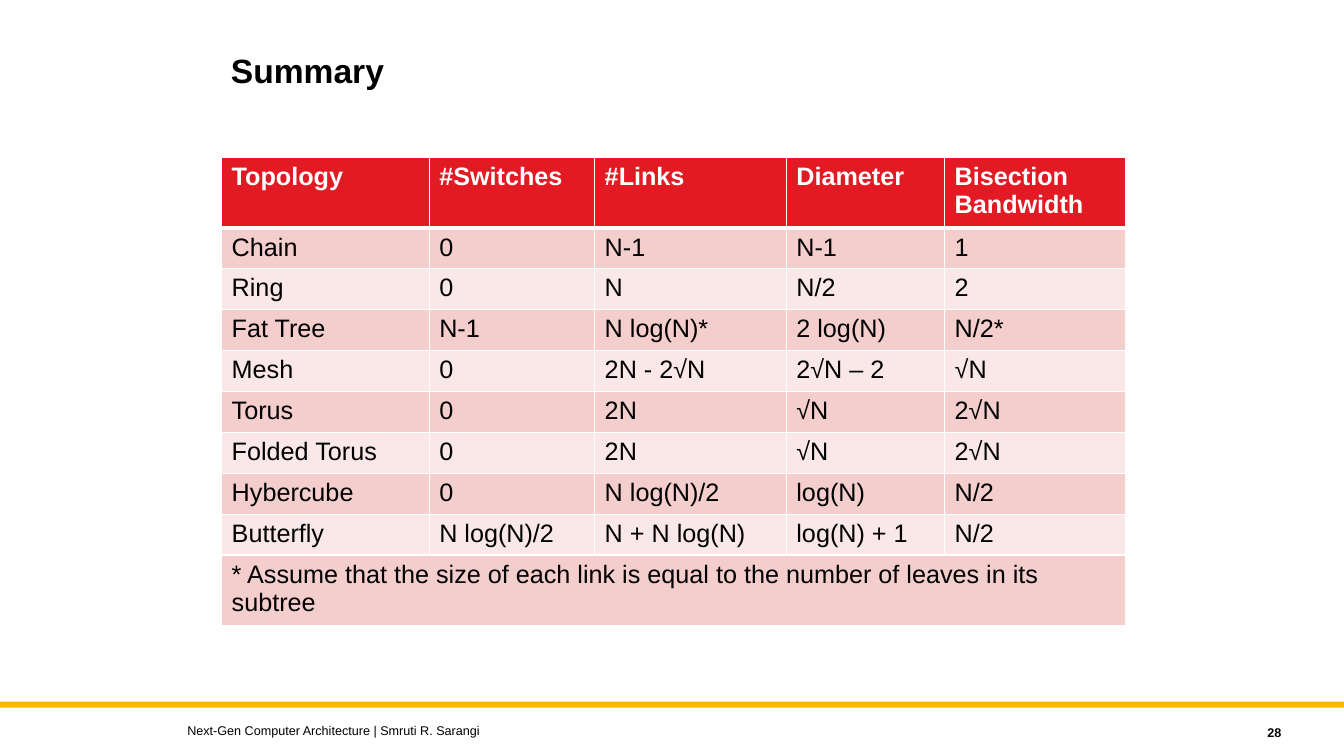
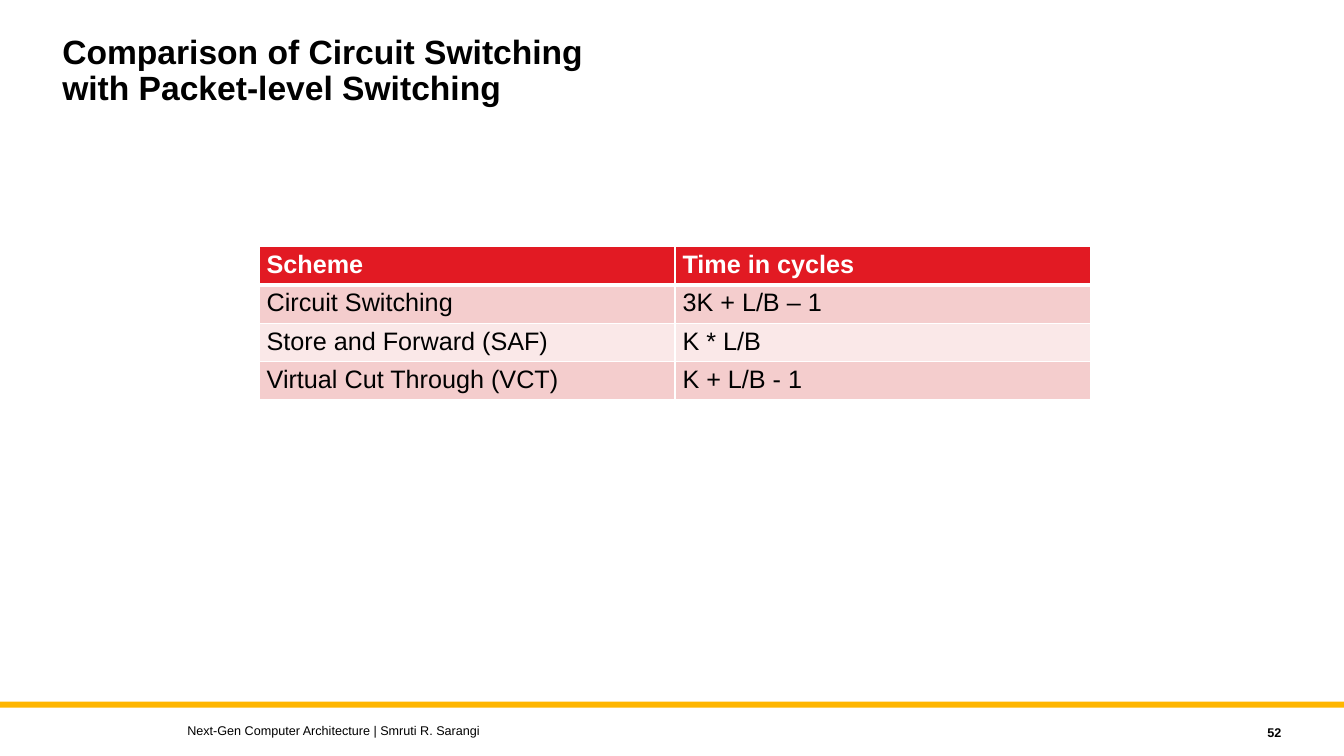
import pptx
import pptx.dml.color
import pptx.enum.shapes
import pptx.enum.text
import pptx.oxml
import pptx.oxml.ns
import pptx.util

Cm = pptx.util.Cm
Pt = pptx.util.Pt
Anchor = pptx.enum.text.MSO_ANCHOR
Align = pptx.enum.text.PP_ALIGN


def color(value):
    return pptx.dml.color.RGBColor.from_string(value)


class LectureDeck:
    """Lecture slides with a shared title style, footer and banded tables."""

    FONT = "Arial"
    BLACK, WHITE = "000000", "FFFFFF"
    GOLD, RED = "FFB600", "E21A23"
    BANDS = ("F4CDCD", "FAE8E8")
    WIDTH, HEIGHT = 33.87, 19.05
    COURSE = "Next-Gen Computer Architecture | Smruti R. Sarangi"

    def __init__(self):
        self.deck = pptx.Presentation()
        self.deck.slide_width = Cm(self.WIDTH)
        self.deck.slide_height = Cm(self.HEIGHT)
        self.slide = None

    def start_slide(self, number):
        self.slide = self.deck.slides.add_slide(self.deck.slide_layouts[6])
        self.band(0, 17.68, self.WIDTH, 0.15)
        self.text(self.COURSE, (4.47, 18.08, 20.32, 0.64), 9)
        self.text(str(number), (28.98, 18.14, 3.56, 0.64), 9, bold=True, align=Align.RIGHT)

    def band(self, left, top, width, height):
        bar = self.slide.shapes.add_shape(
            pptx.enum.shapes.MSO_SHAPE.RECTANGLE, Cm(left), Cm(top), Cm(width), Cm(height))
        bar.shadow.inherit = False
        bar.fill.solid()
        bar.fill.fore_color.rgb = color(self.GOLD)
        bar.line.fill.background()

    def style(self, frame, size, tone, bold):
        for paragraph in frame.paragraphs:
            font = paragraph.font
            font.name, font.size, font.bold = self.FONT, Pt(size), bold
            font.color.rgb = color(tone)

    def text(self, words, box, size, bold=False, align=Align.LEFT, anchor=Anchor.MIDDLE):
        frame = self.slide.shapes.add_textbox(*map(Cm, box)).text_frame
        frame.word_wrap = True
        frame.vertical_anchor = anchor
        frame.text = words
        self.style(frame, size, self.BLACK, bold)
        for paragraph in frame.paragraphs:
            paragraph.alignment = align
        return frame

    def title(self, words, box, anchor=Anchor.TOP, inset=True):
        frame = self.text(words, box, 24, bold=True, anchor=anchor)
        frame.paragraphs[0].line_spacing = 0.9
        if not inset:
            frame.margin_left = frame.margin_right = 0
            frame.margin_top = frame.margin_bottom = 0

    def borders(self, cell, top, bottom):
        properties = cell._tc.get_or_add_tcPr()
        for side, points in (("L", 1), ("R", 1), ("T", top), ("B", bottom)):
            properties.append(pptx.oxml.parse_xml(
                f'<a:ln{side} {pptx.oxml.ns.nsdecls("a")} w="{Pt(points)}"><a:solidFill>'
                f'<a:srgbClr val="{self.WHITE}"/></a:solidFill></a:ln{side}>'))

    def table(self, left, top, widths, row_height, rows, margins=(0.25, 0.13)):
        grid = self.slide.shapes.add_table(
            len(rows), len(widths), Cm(left), Cm(top),
            Cm(sum(widths)), Cm(row_height * len(rows))).table
        for column, width in zip(grid.columns, widths):
            column.width = Cm(width)
        for r, values in enumerate(rows):
            grid.rows[r].height = Cm(row_height)
            header = r == 0
            for c in range(len(widths)):
                cell = grid.cell(r, c)
                self.borders(cell, 3 if r == 1 else 1, 3 if header else 1)
                cell.fill.solid()
                cell.fill.fore_color.rgb = color(self.RED if header else self.BANDS[(r - 1) % 2])
                cell.margin_left = cell.margin_right = Cm(margins[0])
                cell.margin_top = cell.margin_bottom = Cm(margins[1])
                if c < len(values):
                    cell.text = values[c]
                self.style(cell.text_frame, 18, self.WHITE if header else self.BLACK, header)
            if len(values) == 1:
                grid.cell(r, 0).merge(grid.cell(r, len(widths) - 1))

    def save(self):
        self.deck.save("out.pptx")


TOPOLOGIES = [
    ("Topology", "#Switches", "#Links", "Diameter", "Bisection\nBandwidth"),
    ("Chain", "0", "N-1", "N-1", "1"),
    ("Ring", "0", "N", "N/2", "2"),
    ("Fat Tree", "N-1", "N log(N)*", "2 log(N)", "N/2*"),
    ("Mesh", "0", "2N - 2√N", "2√N – 2", "√N"),
    ("Torus", "0", "2N", "√N", "2√N"),
    ("Folded Torus", "0", "2N", "√N", "2√N"),
    ("Hybercube", "0", "N log(N)/2", "log(N)", "N/2"),
    ("Butterfly", "N log(N)/2", "N + N log(N)", "log(N) + 1", "N/2"),
    ("* Assume that the size of each link is equal to the number of leaves in its subtree",),
]

SCHEMES = [
    ("Scheme", "Time in cycles"),
    ("Circuit Switching", "3K + L/B – 1"),
    ("Store and Forward (SAF)", "K * L/B"),
    ("Virtual Cut Through (VCT)", "K + L/B - 1"),
]


def main():
    lecture = LectureDeck()

    lecture.start_slide(28)
    lecture.title("Summary", (5.82, 0.84, 15.44, 1.96), Anchor.MIDDLE, inset=False)
    lecture.table(5.59, 3.96, (5.23, 4.17, 4.83, 3.99, 4.55), 1.03, TOPOLOGIES)

    lecture.start_slide(52)
    lecture.title("Comparison of Circuit Switching\vwith Packet-level Switching",
                  (1.32, 0.76, 25.4, 2.29))
    lecture.table(6.53, 6.22, (10.48, 10.48), 0.91, SCHEMES, margins=(0.19, 0.1))

    lecture.save()


if __name__ == "__main__":
    main()
